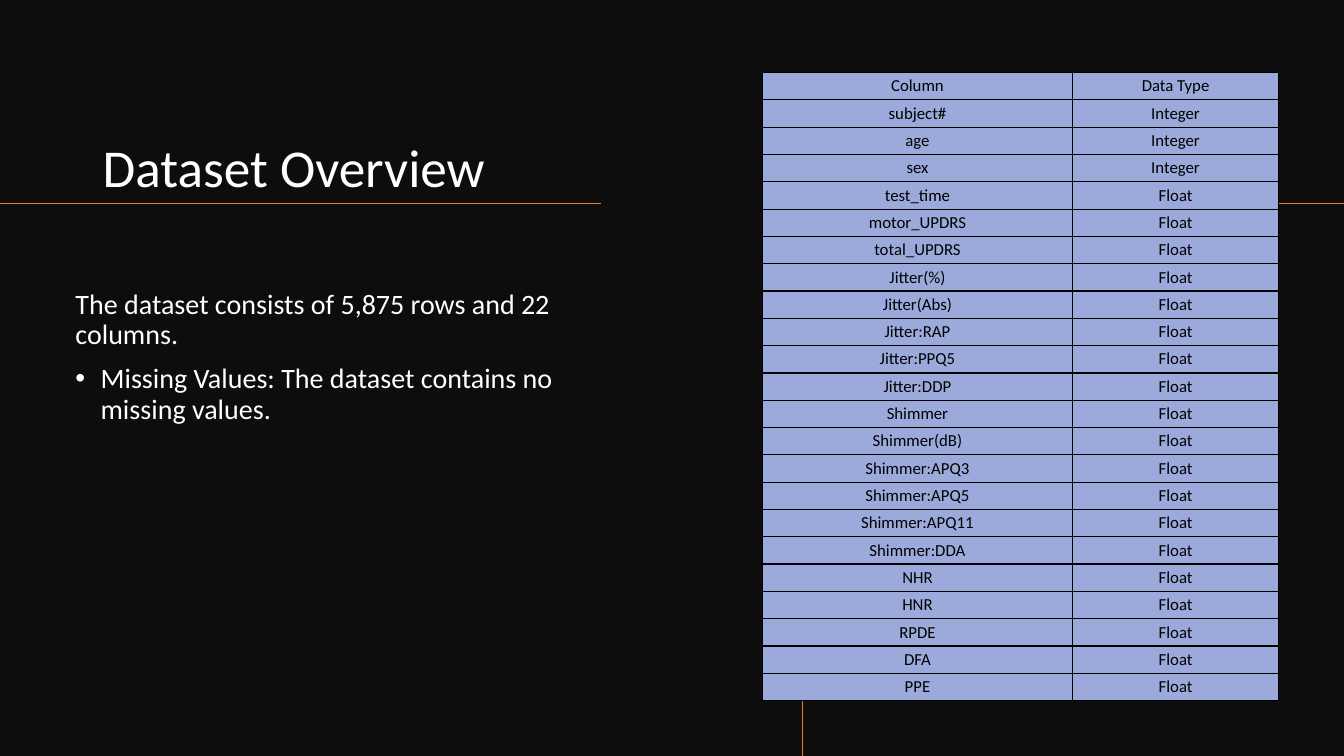
"""Build the dataset overview slide with its column table."""
from dataclasses import dataclass
from typing import Any

from lxml.etree import SubElement
from pptx import Presentation
from pptx.dml.color import RGBColor
from pptx.enum.shapes import MSO_CONNECTOR, MSO_SHAPE
from pptx.enum.text import MSO_ANCHOR, PP_ALIGN
from pptx.oxml.ns import qn
from pptx.slide import Slide
from pptx.util import Inches, Pt


@dataclass(frozen=True)
class Theme:
    """Colours, font and type sizes of the slide."""
    font: str = "Calibri"
    back: RGBColor = RGBColor(0x0D, 0x0D, 0x0D)
    light: RGBColor = RGBColor(0xFF, 0xFF, 0xFF)
    dark: RGBColor = RGBColor(0, 0, 0)
    accent: RGBColor = RGBColor(0xED, 0x7D, 0x31)
    cell: RGBColor = RGBColor(0x9B, 0xAA, 0xDB)
    title: Pt = Pt(38)
    body: Pt = Pt(20)
    table: Pt = Pt(12)
    line: Pt = Pt(1)


@dataclass(frozen=True)
class Rule:
    """A straight accent line in inches."""
    x1: float
    y1: float
    x2: float
    y2: float


@dataclass(frozen=True)
class Para:
    """A paragraph, bulleted or plain."""
    text: str
    bullet: bool = False


@dataclass(frozen=True)
class Block:
    """A text box in inches with its paragraphs."""
    x: float
    y: float
    w: float
    h: float
    size: Pt
    anchor: MSO_ANCHOR
    paras: tuple[Para, ...]


@dataclass(frozen=True)
class Field:
    """A dataset column and its data type."""
    name: str
    kind: str = "Float"


THEME = Theme()
WIDTH, HEIGHT = 13.33, 7.5
RULE_Y, RULE_X = 2.02, 7.96
RULES = (
    Rule(5.96, RULE_Y, 0, RULE_Y),
    Rule(RULE_X, HEIGHT, RULE_X, RULE_Y),
    Rule(WIDTH, RULE_Y, RULE_X, RULE_Y),
)
BLOCKS = (
    Block(0.92, 0.51, 5.06, 1.51, THEME.title, MSO_ANCHOR.BOTTOM,
          (Para("Dataset Overview"),)),
    Block(0.65, 2.83, 5.06, 2.82, THEME.body, MSO_ANCHOR.TOP, (
        Para("The dataset consists of 5,875 rows and 22 columns."),
        Para("Missing Values: The dataset contains no missing values.", True),
    )),
)
INTEGERS = ("subject#", "age", "sex")
FLOATS = (
    "test_time", "motor_UPDRS", "total_UPDRS", "Jitter(%)", "Jitter(Abs)",
    "Jitter:RAP", "Jitter:PPQ5", "Jitter:DDP", "Shimmer", "Shimmer(dB)",
    "Shimmer:APQ3", "Shimmer:APQ5", "Shimmer:APQ11", "Shimmer:DDA",
    "NHR", "HNR", "RPDE", "DFA", "PPE",
)
FIELDS = (
    Field("Column", "Data Type"),
    *(Field(name, "Integer") for name in INTEGERS),
    *(Field(name) for name in FLOATS),
)
COL_WIDTHS = (3.08, 2.04)
TABLE_HEIGHT = 6.23


def apply(target: Any, values: dict[str, Any]) -> None:
    """Set each named attribute on the target."""
    for name, value in values.items():
        setattr(target, name, value)


def add_backdrop(s: Slide) -> None:
    """Cover the slide with the dark rectangle."""
    sp = s.shapes.add_shape(MSO_SHAPE.RECTANGLE, 0, 0, Inches(WIDTH), Inches(HEIGHT))
    sp.shadow.inherit = False
    sp.fill.solid()
    sp.fill.fore_color.rgb = THEME.back
    sp.line.fill.background()


def add_rule(s: Slide, rule: Rule) -> None:
    """Draw one accent line."""
    ends = map(Inches, (rule.x1, rule.y1, rule.x2, rule.y2))
    cx = s.shapes.add_connector(MSO_CONNECTOR.STRAIGHT, *ends)
    cx.line.color.rgb = THEME.accent
    cx.line.width = THEME.line
    SubElement(cx.element.spPr, qn("a:effectLst"))


def add_block(s: Slide, block: Block) -> None:
    """Draw one text box with its paragraphs."""
    sp = s.shapes.add_textbox(*map(Inches, (block.x, block.y, block.w, block.h)))
    tf = sp.text_frame
    apply(tf, {"word_wrap": True, "vertical_anchor": block.anchor})
    for i, para in enumerate(block.paras):
        p = tf.add_paragraph() if i else tf.paragraphs[0]
        if para.bullet:
            pr = p._p.get_or_add_pPr()
            pr.set("marL", str(Inches(0.25)))
            pr.set("indent", str(Inches(-0.25)))
            SubElement(pr, qn("a:buFont"), typeface="Arial")
            SubElement(pr, qn("a:buChar"), char="•")
        apply(p, {"line_spacing": 0.9, "space_before": Pt(10 if i else 0)})
        r = p.add_run()
        r.text = para.text
        apply(r.font, {"name": THEME.font, "size": block.size})
        r.font.color.rgb = THEME.light


def add_borders(cell: Any) -> None:
    """Give a cell a thin dark line on every side."""
    pr = cell._tc.get_or_add_tcPr()
    for side in ("a:lnL", "a:lnR", "a:lnT", "a:lnB"):
        ln = SubElement(pr, qn(side), w=str(THEME.line))
        fill = SubElement(ln, qn("a:solidFill"))
        SubElement(fill, qn("a:srgbClr"), val=str(THEME.dark))


def fill_cell(cell: Any, text: str) -> None:
    """Write centred text in a bordered, filled cell."""
    add_borders(cell)
    cell.fill.solid()
    cell.fill.fore_color.rgb = THEME.cell
    apply(cell, {
        "vertical_anchor": MSO_ANCHOR.MIDDLE,
        "margin_left": Inches(0.02), "margin_right": Inches(0.02),
        "margin_top": Inches(0.01), "margin_bottom": Inches(0.01),
    })
    p = cell.text_frame.paragraphs[0]
    p.alignment = PP_ALIGN.CENTER
    r = p.add_run()
    r.text = text
    apply(r.font, {"name": THEME.font, "size": THEME.table})
    r.font.color.rgb = THEME.dark


def add_fields(s: Slide) -> None:
    """Draw the table of dataset columns."""
    box = map(Inches, (7.56, 0.72, sum(COL_WIDTHS), TABLE_HEIGHT))
    table = s.shapes.add_table(len(FIELDS), len(COL_WIDTHS), *box).table
    apply(table, {"first_row": False, "horz_banding": False})
    for col, width in zip(table.columns, COL_WIDTHS):
        col.width = Inches(width)
    for row, field in zip(table.rows, FIELDS):
        row.height = Inches(TABLE_HEIGHT / len(FIELDS))
        for cell, text in zip(row.cells, (field.name, field.kind)):
            fill_cell(cell, text)


def main() -> None:
    """Build and save the slide."""
    prs = Presentation()
    apply(prs, {"slide_width": Inches(WIDTH), "slide_height": Inches(HEIGHT)})
    s = prs.slides.add_slide(prs.slide_layouts[6])
    add_backdrop(s)
    for rule in RULES:
        add_rule(s, rule)
    for block in BLOCKS:
        add_block(s, block)
    add_fields(s)
    prs.save("out.pptx")


if __name__ == "__main__":
    main()
